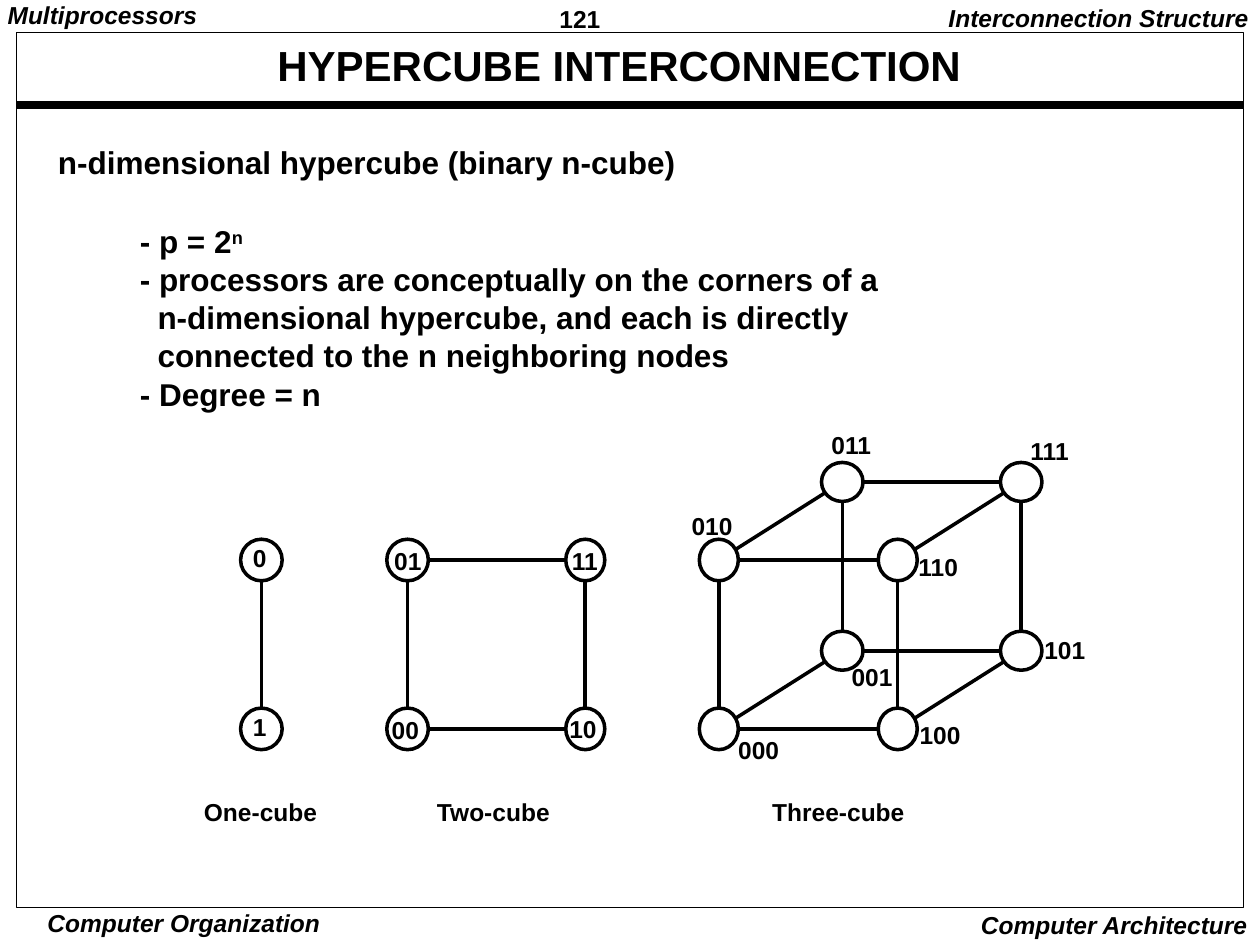
from dataclasses import dataclass
from itertools import combinations, product

from lxml.etree import SubElement
from pptx import Presentation
from pptx.dml.color import RGBColor
from pptx.enum.shapes import MSO_CONNECTOR, MSO_SHAPE
from pptx.enum.text import MSO_ANCHOR, MSO_AUTO_SIZE, PP_ALIGN
from pptx.oxml.ns import qn
from pptx.util import Inches, Pt


@dataclass(frozen=True)
class Theme:
    ink: RGBColor = RGBColor(0, 0, 0)
    paper: RGBColor = RGBColor(255, 255, 255)
    font: str = "Arial"
    title: int = 24
    body: int = 18
    label: int = 14
    frame: float = 0.5
    rule: float = 4.5
    edge: float = 2


@dataclass(frozen=True)
class Cube:
    origin: tuple
    steps: tuple
    labels: dict
    caption: str
    caption_at: tuple

    def nodes(self):
        boxes = {}
        for bits in product((0, 1), repeat=len(self.steps)):
            code = "".join(map(str, bits))
            boxes[code] = tuple(
                start + sum(bit * step[side] for bit, step in zip(bits, self.steps))
                for side, start in enumerate(self.origin)
            )
        return boxes


THEME = Theme()
WIDE_INSETS = (0.1, 0.05)
NARROW_INSETS = (0.07, 0.03)
LABEL_WIDTHS = {1: 0.33, 2: 0.45, 3: 0.58}
RIGHT = (1.42, 0, 0, 0)
UP = (0, -1.34, 0, 0)
DOWN = (0, 1.34, 0, 0)
RIGHT_NARROWER = (1.42, 0, -0.02, 0)
BACK = (0.97, -0.61, 0.02, -0.02)

CUBES = (
    Cube((1.91, 4.28, 0.33, 0.33), (DOWN,),
         {"0": (1.91, 4.29), "1": (1.91, 5.63)},
         "One-cube", (1.52, 6.3, 1.14, 0.31)),
    Cube((3.07, 5.62, 0.33, 0.33), (RIGHT_NARROWER, UP),
         {"11": (4.44, 4.31), "01": (3.03, 4.31), "00": (3.01, 5.65), "10": (4.42, 5.64)},
         "Two-cube", (3.37, 6.3, 1.14, 0.31)),
    Cube((5.55, 5.62, 0.31, 0.33), (RIGHT, UP, BACK),
         {"010": (5.39, 4.03), "110": (7.19, 4.36), "011": (6.5, 3.39), "111": (8.08, 3.44),
          "101": (8.19, 5.02), "100": (7.2, 5.69), "001": (6.66, 5.23), "000": (5.76, 5.81)},
         "Three-cube", (6.03, 6.3, 1.28, 0.31)),
)

PROPERTIES = (
    ("- p = 2", "n", 0),
    ("- processors are conceptually on the corners of a", "", 0),
    ("n-dimensional hypercube, and each is directly", "", 0.14),
    ("connected to the n neighboring nodes", "", 0.14),
    ("- Degree = n", "", 0),
)


def apply(target, formats):
    for name, value in formats.items():
        setattr(target, name, value)


def add_text(slide, box, lines, size=THEME.label, insets=WIDE_INSETS, align=PP_ALIGN.LEFT,
             spacing=0.9, italic=False, fitted=True):
    textbox = slide.shapes.add_textbox(*map(Inches, box))
    frame = textbox.text_frame
    side, end = map(Inches, insets)
    apply(frame, {
        "margin_left": side, "margin_right": side, "margin_top": end, "margin_bottom": end,
        "word_wrap": not fitted,
        "auto_size": MSO_AUTO_SIZE.SHAPE_TO_FIT_TEXT if fitted else MSO_AUTO_SIZE.NONE,
        "vertical_anchor": MSO_ANCHOR.TOP if fitted else MSO_ANCHOR.MIDDLE,
    })
    for index, (words, exponent, indent) in enumerate(lines):
        paragraph = frame.paragraphs[0] if index == 0 else frame.add_paragraph()
        apply(paragraph, {"alignment": align, "line_spacing": spacing})
        if indent:
            paragraph._p.get_or_add_pPr().set("marL", str(Inches(indent)))
        for text, baseline in ((words, None), (exponent, "30000")):
            if not text:
                continue
            run = paragraph.add_run()
            run.text = text
            apply(run.font, {"name": THEME.font, "size": Pt(size), "bold": True, "italic": italic})
            run.font.color.rgb = THEME.ink
            if baseline:
                run._r.get_or_add_rPr().set("baseline", baseline)
    return textbox


def add_line_of_text(slide, box, text, **formats):
    return add_text(slide, box, [(text, "", 0)], **formats)


def add_outline(slide, preset, box, weight, filled):
    outline = slide.shapes.add_shape(preset, *map(Inches, box))
    outline.shadow.inherit = False
    if filled:
        outline.fill.solid()
        outline.fill.fore_color.rgb = THEME.paper
    else:
        outline.fill.background()
    outline.line.color.rgb = THEME.ink
    outline.line.width = Pt(weight)


def add_line(slide, start, end, weight):
    line = slide.shapes.add_connector(MSO_CONNECTOR.STRAIGHT, *map(Inches, start + end))
    line.line.color.rgb = THEME.ink
    line.line.width = Pt(weight)
    SubElement(line._element.spPr, qn("a:effectLst"))


def add_edge(slide, first, second, step):
    near, far = sorted((first, second))
    start, end = (
        (left + width / 2, top + height / 2) for left, top, width, height in (near, far)
    )
    if step[1] == 0:
        start, end = (near[0] + near[2], start[1]), (far[0], end[1])
    elif step[0] == 0:
        start, end = (start[0], near[1] + near[3]), (end[0], far[1])
    add_line(slide, start, end, THEME.edge)


def add_cube(slide, cube):
    nodes = cube.nodes()
    for first, second in combinations(nodes, 2):
        changed = [step for a, b, step in zip(first, second, cube.steps) if a != b]
        if len(changed) == 1:
            add_edge(slide, nodes[first], nodes[second], changed[0])
    for node in nodes.values():
        add_outline(slide, MSO_SHAPE.OVAL, node, THEME.edge, filled=True)
    for code, corner in cube.labels.items():
        add_line_of_text(slide, (*corner, LABEL_WIDTHS[len(code)], 0.31), code)
    caption = add_line_of_text(slide, cube.caption_at, cube.caption)
    caption.fill.solid()
    caption.fill.fore_color.rgb = THEME.paper


def add_page_furniture(slide):
    add_line_of_text(slide, (4.37, 0, 1.08, 0.29), "121", insets=NARROW_INSETS, spacing=1.01)
    add_line_of_text(slide, (0.26, 7.2, 2.4, 0.26), "Computer Organization",
                     insets=(0.03, 0.01), align=PP_ALIGN.CENTER, spacing=1.0, italic=True)
    add_line_of_text(slide, (7.6, 7.17, 2.4, 0.33), "Computer Architecture",
                     align=PP_ALIGN.RIGHT, spacing=1.0, italic=True)
    add_line_of_text(slide, (7.21, 0, 2.8, 0.31), "Interconnection Structure",
                     align=PP_ALIGN.RIGHT, italic=True)
    add_line_of_text(slide, (-0.01, 0, 1.75, 0.27), "Multiprocessors",
                     insets=NARROW_INSETS, italic=True)
    add_line(slide, (0.13, 0.83), (9.87, 0.83), THEME.rule)
    add_outline(slide, MSO_SHAPE.RECTANGLE, (0.13, 0.26, 9.74, 6.94), THEME.frame, filled=False)


def main():
    presentation = Presentation()
    apply(presentation, {"slide_width": Inches(10), "slide_height": Inches(7.5)})
    slide = presentation.slides.add_slide(presentation.slide_layouts[6])
    add_page_furniture(slide)
    add_line_of_text(slide, (0, 0.19, 9.83, 0.7), "HYPERCUBE INTERCONNECTION",
                     size=THEME.title, align=PP_ALIGN.CENTER, fitted=False)
    add_line_of_text(slide, (0.39, 1.1, 5.3, 0.36), "n-dimensional hypercube (binary n-cube)",
                     size=THEME.body, insets=NARROW_INSETS, spacing=1.01)
    add_text(slide, (1.04, 1.73, 6.2, 1.87), PROPERTIES,
             size=THEME.body, insets=NARROW_INSETS, spacing=1.01)
    for cube in CUBES:
        add_cube(slide, cube)
    presentation.save("out.pptx")


if __name__ == "__main__":
    main()
